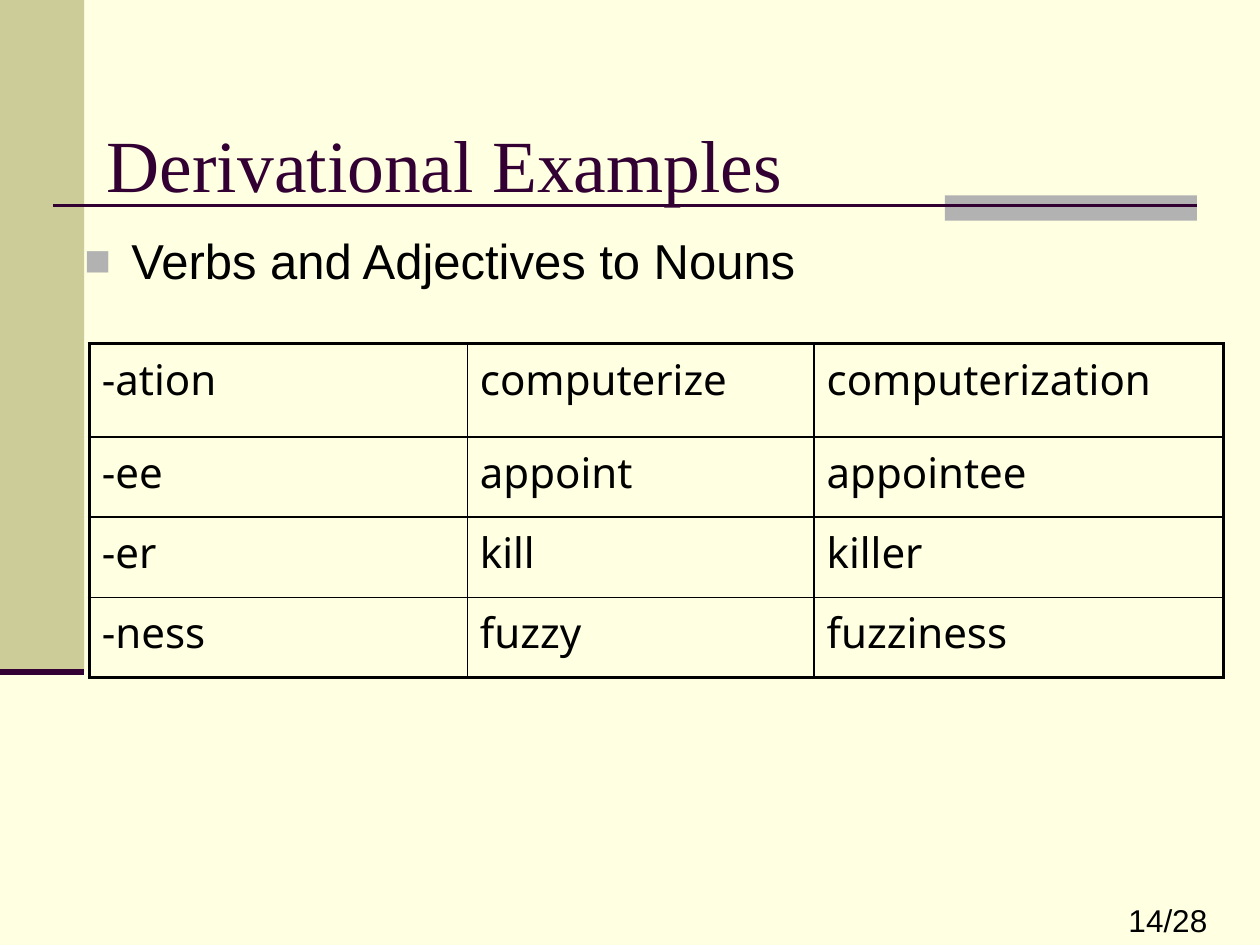
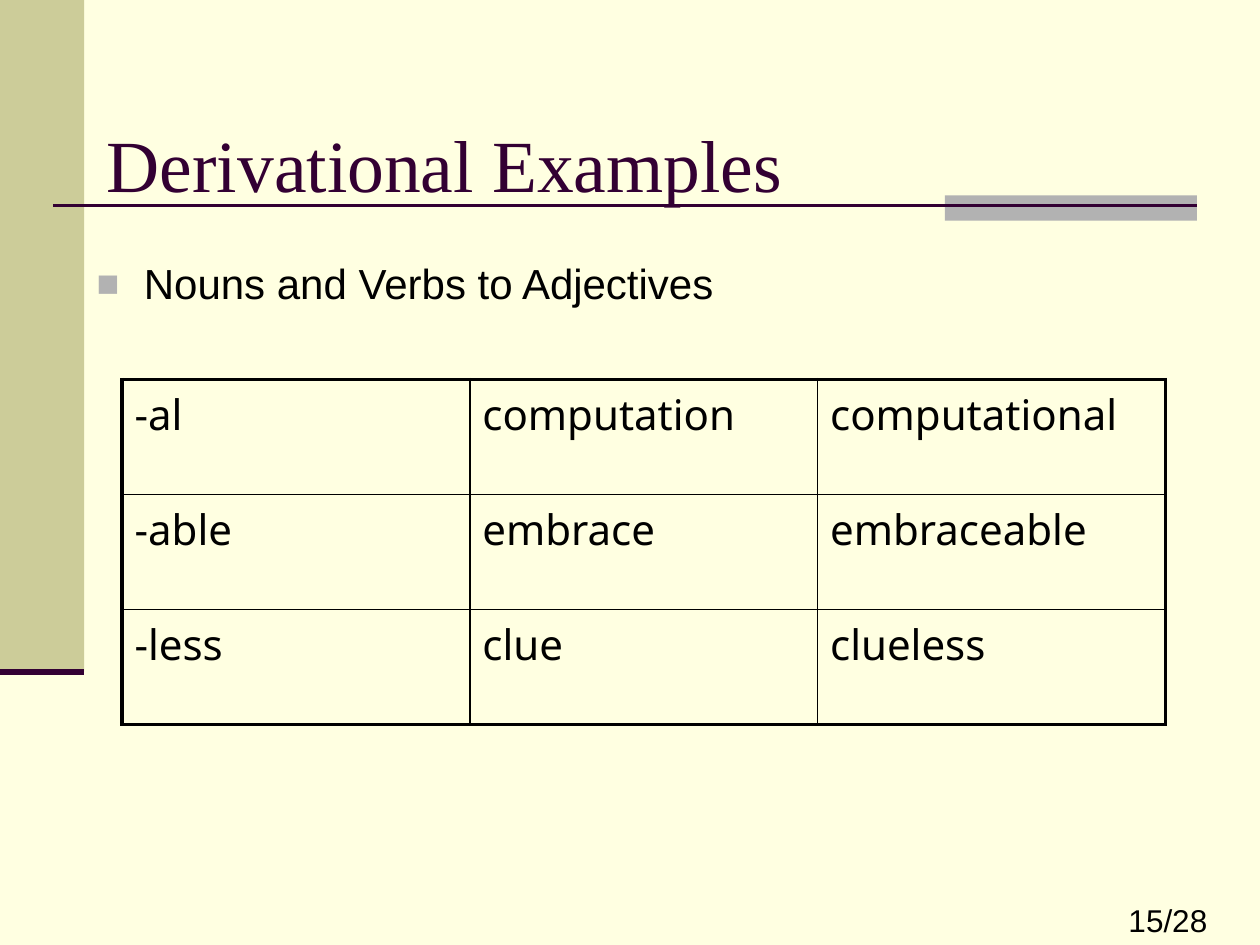
from lxml import etree
from pptx import Presentation
from pptx.dml.color import RGBColor
from pptx.enum import shapes, text
from pptx.oxml import ns
from pptx.util import Cm, Pt


class Theme:
    paper = RGBColor.from_string("FFFFE1")
    olive = RGBColor.from_string("CCCC99")
    grey = RGBColor.from_string("B2B2B2")
    plum = RGBColor.from_string("330033")
    ink = RGBColor.from_string("000000")
    title_font, body_font, table_font = "Times New Roman", "Arial", "Noto Sans"
    title_size, table_size, number_size = 42, 24, 18
    frame_width, grid_width = 2.25, 1


def add_xml(parent, tag, **attributes):
    return etree.SubElement(parent, ns.qn(tag), attributes)


def write(frame, wording, *, font, size, color=Theme.ink,
          anchor=text.MSO_ANCHOR.TOP, spacing=1.0, bullet=None):
    frame.word_wrap = True
    frame.vertical_anchor = anchor
    para = frame.paragraphs[0]
    para.alignment = text.PP_ALIGN.LEFT
    para.line_spacing = spacing
    span = para.add_run()
    span.text = wording
    span.font.name, span.font.size = font, Pt(size)
    span.font.color.rgb = color
    if bullet:
        settings = para._p.get_or_add_pPr()
        settings.set("marL", str(Cm(0.95)))
        settings.set("indent", str(Cm(-0.95)))
        bullet_color = add_xml(settings, "a:buClr")
        add_xml(bullet_color, "a:srgbClr", val=str(Theme.grey))
        add_xml(settings, "a:buSzPct", val="90000")
        add_xml(settings, "a:buFont", typeface=font)
        add_xml(settings, "a:buChar", char=bullet)


# Content of the slides, lengths in centimetres
examples = [
    dict(number="14/28", heading="Verbs and Adjectives to Nouns",
         size=28, spacing=1.0, heading_at=(1.45, 4.52, 21.39, 4.44),
         table_at=(1.8, 6.93), columns=(7.62, 6.99, 8.26), heights=(1.88, 1.61, 1.62, 1.62),
         words=[("-ation", "computerize", "computerization"),
                ("-ee", "appoint", "appointee"),
                ("-er", "kill", "killer"),
                ("-ness", "fuzzy", "fuzziness")]),
    dict(number="15/28", heading="Nouns and Verbs to Adjectives",
         size=24, spacing=0.9, heading_at=(1.7, 5.18, 21.59, 2.11),
         table_at=(2.46, 7.65), columns=(7.01,) * 3, heights=(2.32,) * 3,
         words=[("-al", "computation", "computational"),
                ("-able", "embrace", "embraceable"),
                ("-less", "clue", "clueless")]),
]

# Shared decoration: left, top, width, height, fill / from x, to x, y, weight
blocks = [(0, 0, 1.7, 13.54, Theme.olive), (19.05, 3.94, 5.08, 0.51, Theme.grey)]
rules = [(1.07, 24.13, 4.14, 1.5), (0, 1.7, 13.54, 3.5)]

deck = Presentation()
deck.slide_width, deck.slide_height = Cm(25.4), Cm(19.05)
background = deck.slide_master.background.fill
background.solid()
background.fore_color.rgb = Theme.paper
title_only = deck.slide_layouts[5]

for example in examples:
    page = deck.slides.add_slide(title_only)

    # Side band, accent block and rules
    for *place, color in blocks:
        block = page.shapes.add_shape(shapes.MSO_SHAPE.RECTANGLE, *map(Cm, place))
        block.shadow.inherit = False
        block.fill.solid()
        block.fill.fore_color.rgb = color
        block.line.fill.background()
    for start, end, height, weight in rules:
        rule = page.shapes.add_connector(
            shapes.MSO_CONNECTOR.STRAIGHT, Cm(start), Cm(height), Cm(end), Cm(height))
        rule.line.color.rgb = Theme.plum
        rule.line.width = Pt(weight)
        add_xml(rule.element.spPr, "a:effectLst")

    # Page number
    box = page.shapes.add_textbox(Cm(22.5), Cm(18.03), Cm(2.9), Cm(1.02))
    write(box.text_frame, example["number"], font=Theme.body_font, size=Theme.number_size)

    # Title, brought in front of the decoration
    title = page.shapes.title
    title.left, title.top, title.width, title.height = map(Cm, (1.9, 1.7, 21.59, 3.18))
    title.text_frame.auto_size = text.MSO_AUTO_SIZE.NONE
    write(title.text_frame, "Derivational Examples", font=Theme.title_font,
          size=Theme.title_size, color=Theme.plum, anchor=text.MSO_ANCHOR.MIDDLE)
    title.element.getparent().append(title.element)

    # Bulleted heading
    box = page.shapes.add_textbox(*map(Cm, example["heading_at"]))
    write(box.text_frame, example["heading"], font=Theme.body_font,
          size=example["size"], spacing=example["spacing"], bullet="■")

    # Table of suffixes with a heavy frame and a fine grid
    columns, heights = example["columns"], example["heights"]
    table = page.shapes.add_table(
        len(heights), len(columns), *map(Cm, example["table_at"]),
        Cm(sum(columns)), Cm(sum(heights))).table
    table.first_row = table.horz_banding = False
    for column, width in zip(table.columns, columns):
        column.width = Cm(width)
    for row, height in zip(table.rows, heights):
        row.height = Cm(height)
    for r, words in enumerate(example["words"]):
        for c, word in enumerate(words):
            cell = table.cell(r, c)
            write(cell.text_frame, word, font=Theme.table_font, size=Theme.table_size)
            cell.fill.background()
            properties = cell._tc.get_or_add_tcPr()
            on_frame = {"a:lnL": c == 0, "a:lnR": c == len(columns) - 1,
                        "a:lnT": r == 0, "a:lnB": r == len(heights) - 1}
            for position, (side, outer) in enumerate(on_frame.items()):
                weight = Theme.frame_width if outer else Theme.grid_width
                border = add_xml(properties, side, w=str(Pt(weight)))
                add_xml(add_xml(border, "a:solidFill"), "a:srgbClr", val=str(Theme.ink))
                properties.insert(position, border)

deck.save("out.pptx")
